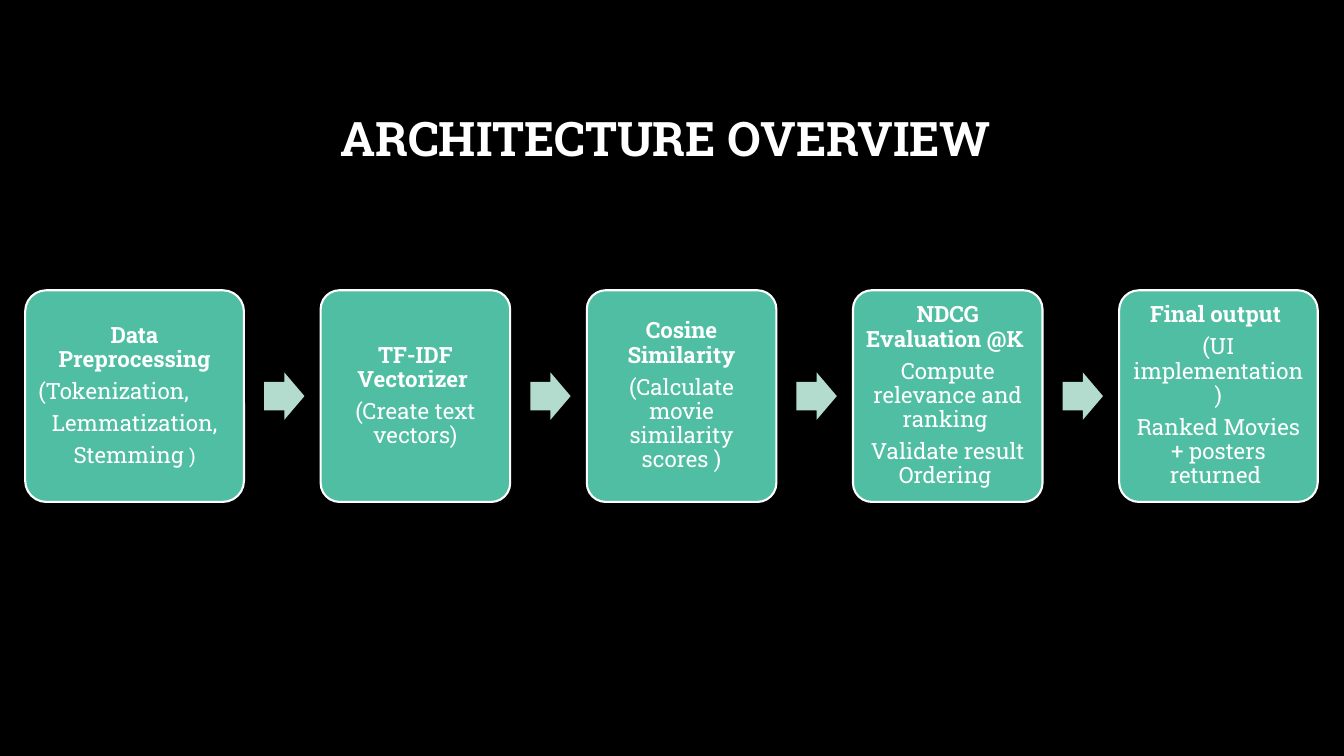
from pptx import Presentation, util as u
from pptx.dml.color import RGBColor
from pptx.enum import shapes, text

FONT = "Roboto Slab"
WHITE, BLACK, GREEN, MINT = "FFFFFF", "000000", "50BEA3", "B3DBCE"
CENTER, LEFT = text.PP_ALIGN.CENTER, text.PP_ALIGN.LEFT

# Flow row, in inches
ROW_LEFT, ROW_TOP, BOX_H, GAP = 0.25, 2.88, 2.1, 0.76
ARROW_W, ARROW_H, ARROW_OFFSET = 0.4, 0.47, 0.2
INSET = 0.07

# Box width, heading, detail paragraphs as (alignment, [(text, size), ...])
STAGES = [
    (2.17, "Data Preprocessing", [
        (LEFT, [("(Tokenization,", 16)]),
        (CENTER, [("Lemmatization,", 16)]),
        (CENTER, [("Stemming ", 16), (")", 14)])]),
    (1.88, "TF-IDF Vectorizer ", [
        (CENTER, [("(Create text vectors)", 16)])]),
    (1.88, "Cosine Similarity", [
        (CENTER, [("(Calculate movie similarity scores )", 16)])]),
    (1.88, "NDCG Evaluation @K ", [
        (CENTER, [("Compute relevance and ranking ", 16)]),
        (CENTER, [("Validate result Ordering ", 16)])]),
    (1.97, "Final output ", [
        (CENTER, [("(UI implementation)", 16)]),
        (CENTER, [("Ranked Movies + posters returned ", 16)])]),
]


def paint(fmt, color):
    """Give a fill a solid hex colour."""
    fmt.solid()
    fmt.fore_color.rgb = RGBColor.from_string(color)


def style(p, size, bold, align=CENTER):
    p.alignment, p.line_spacing = align, 0.9
    p.font.name, p.font.size, p.font.bold = FONT, u.Pt(size), bold
    p.font.color.rgb = RGBColor.from_string(WHITE)


def add_title(s, words):
    sp = s.shapes.title
    sp.left, sp.top = u.Inches(1), u.Inches(0.67)
    sp.width, sp.height = u.Inches(11.32), u.Inches(1.45)
    tf = sp.text_frame
    tf.text = words
    tf.auto_size = text.MSO_AUTO_SIZE.NONE
    tf.vertical_anchor = text.MSO_ANCHOR.MIDDLE
    style(tf.paragraphs[0], 34, True)


def add_block(s, kind, x, y, w, h, color, adjustments):
    sp = s.shapes.add_shape(kind, *map(u.Inches, (x, y, w, h)))
    sp.shadow.inherit = False
    paint(sp.fill, color)
    sp.line.fill.background()
    for i, value in enumerate(adjustments):
        sp.adjustments[i] = value
    return sp


def add_stage(s, x, w, heading, details):
    sp = add_block(s, shapes.MSO_SHAPE.ROUNDED_RECTANGLE,
                   x, ROW_TOP, w, BOX_H, GREEN, [0.1])
    paint(sp.line.fill, WHITE)
    sp.line.width = u.Pt(1.5)
    tf = sp.text_frame
    tf.word_wrap = True
    tf.vertical_anchor = text.MSO_ANCHOR.MIDDLE
    tf.margin_left = tf.margin_right = u.Inches(INSET)
    tf.margin_top = tf.margin_bottom = u.Inches(INSET)
    tf.text = heading
    style(tf.paragraphs[0], 16, True)
    for align, runs in details:
        p = tf.add_paragraph()
        style(p, 16, False, align)
        p.space_before = u.Pt(5.6)
        for words, size in runs:
            r = p.add_run()
            r.text, r.font.size = words, u.Pt(size)


def add_arrow(s, x):
    add_block(s, shapes.MSO_SHAPE.RIGHT_ARROW, x,
              ROW_TOP + (BOX_H - ARROW_H) / 2, ARROW_W, ARROW_H,
              MINT, [0.6, 0.5])


def main():
    prs = Presentation()
    prs.slide_width, prs.slide_height = u.Inches(13.33), u.Inches(7.5)
    s = prs.slides.add_slide(prs.slide_layouts[5])
    paint(s.background.fill, BLACK)
    add_title(s, "ARCHITECTURE OVERVIEW ")

    # Stages from left to right, with an arrow in each gap
    x = ROW_LEFT
    for i, (w, heading, details) in enumerate(STAGES):
        if i:
            add_arrow(s, x - GAP + ARROW_OFFSET)
        add_stage(s, x, w, heading, details)
        x += w + GAP
    prs.save("out.pptx")


if __name__ == "__main__":
    main()
